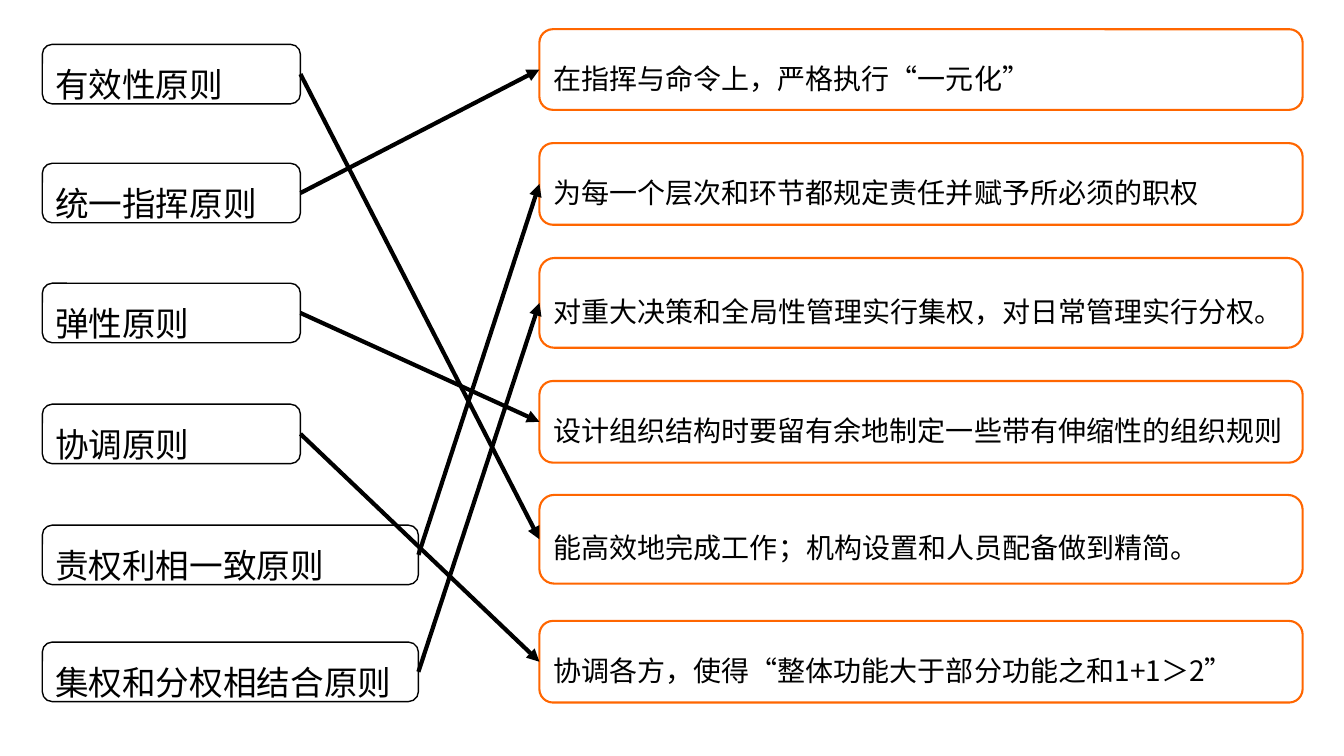
from pptx import Presentation
from pptx.util import Inches, Pt
from pptx.dml.color import RGBColor
from pptx.enum.shapes import MSO_CONNECTOR, MSO_SHAPE
from pptx.enum.text import MSO_ANCHOR, PP_ALIGN
from pptx.oxml.ns import qn
from lxml import etree

ROUND = MSO_SHAPE.ROUNDED_RECTANGLE
STRAIGHT = MSO_CONNECTOR.STRAIGHT
MIDDLE = MSO_ANCHOR.MIDDLE
LEFT = PP_ALIGN.LEFT

THEME = {
    "font": "Noto Sans CJK SC",
    "ink": RGBColor(0, 0, 0),
    "paper": RGBColor(255, 255, 255),
    "accent": RGBColor(255, 102, 0),
    "term": 24,
    "note": 20,
}

# Columns: left edge and widths
TERM_X, SHORT, LONG, TERM_H = 0.42, 2.56, 3.73, 0.59
NOTE_X, NOTE_W = 5.35, 7.57

# Principles: text, top, width, row of the matching note
TERMS = [
    ("有效性原则", 0.44, SHORT, 4),
    ("统一指挥原则", 1.62, SHORT, 0),
    ("弹性原则", 2.81, SHORT, 3),
    ("协调原则", 4.01, SHORT, 5),
    ("责权利相一致原则", 5.21, LONG, 1),
    ("集权和分权相结合原则", 6.37, LONG, 2),
]

# Explanations: text, top, height
NOTES = [
    ("在指挥与命令上，严格执行“一元化”", 0.29, 0.8),
    ("为每一个层次和环节都规定责任并赋予所必须的职权", 1.42, 0.81),
    ("对重大决策和全局性管理实行集权，对日常管理实行分权。", 2.56, 0.89),
    ("设计组织结构时要留有余地制定一些带有伸缩性的组织规则", 3.78, 0.81),
    ("能高效地完成工作；机构设置和人员配备做到精简。", 4.91, 0.88),
    ("协调各方，使得“整体功能大于部分功能之和1+1＞2”", 6.16, 0.81),
]

deck = Presentation()
deck.slide_width, deck.slide_height = Inches(13.33), Inches(7.5)
slide = deck.slides.add_slide(deck.slide_layouts[6])


def add_box(text, x, y, w, h, size, edge, weight):
    box = slide.shapes.add_shape(ROUND, Inches(x), Inches(y), Inches(w), Inches(h))
    box.shadow.inherit = False
    box.line.color.rgb = edge
    box.line.width = Pt(weight)
    frame = box.text_frame
    frame.word_wrap = True
    frame.vertical_anchor = MIDDLE
    para = frame.paragraphs[0]
    para.text = text
    para.alignment = LEFT
    para.line_spacing = 1.5
    font = para.font
    font.size = Pt(size)
    font.name = THEME["font"]
    font.color.rgb = THEME["ink"]
    props = para._p.pPr.find(qn("a:defRPr"))
    etree.SubElement(props, qn("a:ea"), typeface=THEME["font"])
    return box


# Principles on the left
terms = []
for text, top, width, _ in TERMS:
    box = add_box(text, TERM_X, top, width, TERM_H, THEME["term"], THEME["ink"], 1)
    box.fill.solid()
    box.fill.fore_color.rgb = THEME["paper"]
    terms.append(box)

# Explanations on the right
notes = []
for text, top, height in NOTES:
    box = add_box(text, NOTE_X, top, NOTE_W, height, THEME["note"], THEME["accent"], 1.5)
    box.fill.background()
    notes.append(box)

# Arrows from each principle to its explanation
for term, (_, _, _, row) in zip(terms, TERMS):
    arrow = slide.shapes.add_connector(STRAIGHT, 0, 0, 0, 0)
    arrow.begin_connect(term, 3)
    arrow.end_connect(notes[row], 1)
    arrow.line.color.rgb = THEME["ink"]
    arrow.line.width = Pt(3)
    etree.SubElement(arrow.line._get_or_add_ln(), qn("a:tailEnd"), type="triangle")
    etree.SubElement(arrow._element.spPr, qn("a:effectLst"))

deck.save("out.pptx")
